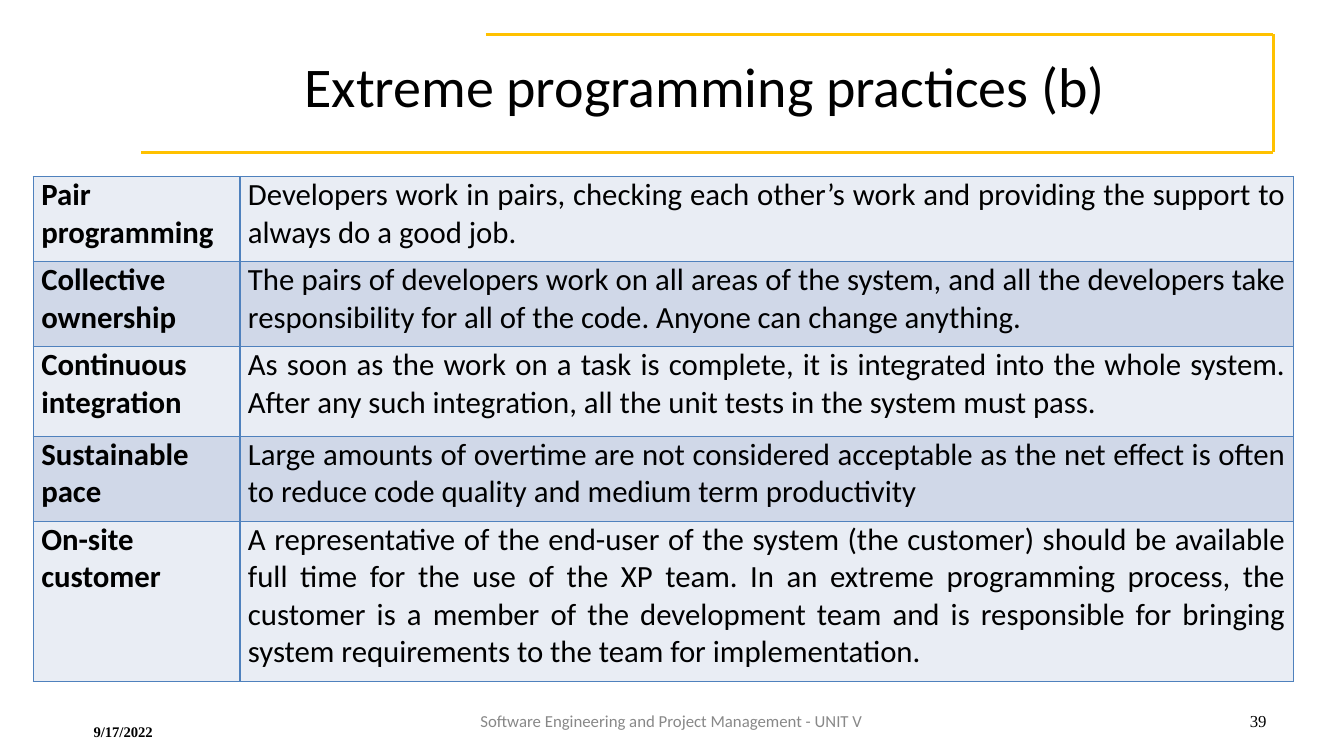
from lxml.etree import SubElement
from pptx import Presentation
from pptx.dml.color import RGBColor
from pptx.enum.shapes import MSO_CONNECTOR
from pptx.enum.text import MSO_ANCHOR as ANCHOR, PP_ALIGN as ALIGN
from pptx.oxml.ns import qn
from pptx.util import Inches, Pt

COLORS = {
    "frame": "FFC100",
    "border": "4F81BD",
    "light row": "E9EDF4",
    "dark row": "D0D8E8",
    "text": "000000",
    "footer": "888888",
}


def color(name):
    return RGBColor.from_string(COLORS[name])


def write(frame, text, size, align, font="Calibri", ink="text", bold=False):
    """Fill a text frame with one formatted paragraph."""
    frame.word_wrap = True
    paragraph = frame.paragraphs[0]
    paragraph.text = text
    paragraph.alignment = align
    paragraph.font.size = Pt(size)
    paragraph.font.name = font
    paragraph.font.bold = bold
    paragraph.font.color.rgb = color(ink)


prs = Presentation()
prs.slide_width, prs.slide_height = Inches(13.33), Inches(7.5)
slide = prs.slides.add_slide(prs.slide_layouts[5])

# Open frame around the title
corners = [(4.82, 0.34), (12.63, 0.34), (12.63, 1.51), (1.4, 1.51)]
for start, end in zip(corners, corners[1:]):
    edge = slide.shapes.add_connector(
        MSO_CONNECTOR.STRAIGHT, *map(Inches, start + end))
    edge.line.color.rgb = color("frame")
    edge.line.width = Pt(2)
    SubElement(edge._element.spPr, qn("a:effectLst"))

title = slide.shapes.title
title.left, title.top = Inches(1.78), Inches(0.31)
title.width, title.height = Inches(10.42), Inches(1.06)
title.text_frame.vertical_anchor = ANCHOR.MIDDLE
write(title.text_frame, "Extreme programming practices (b)", 40, ALIGN.CENTER)

# Practice, description, row height
practices = [
    ("Pair programming",
     "Developers work in pairs, checking each other’s work and providing the "
     "support to always do a good job.", 0.84),
    ("Collective ownership",
     "The pairs of developers work on all areas of the system, and all the "
     "developers take responsibility for all of the code. Anyone can change "
     "anything.", 0.84),
    ("Continuous integration",
     "As soon as the work on a task is complete, it is integrated into the "
     "whole system. After any such integration, all the unit tests in the "
     "system must pass.", 0.89),
    ("Sustainable pace",
     "Large amounts of overtime are not considered acceptable as the net "
     "effect is often to reduce code quality and medium term productivity",
     0.84),
    ("On-site customer",
     "A representative of the end-user of the system (the customer) should be "
     "available full time for the use of the XP team. In an extreme "
     "programming process, the customer is a member of the development team "
     "and is responsible for bringing system requirements to the team for "
     "implementation.", 1.59),
]
widths = [2.05, 10.45]
table = slide.shapes.add_table(
    len(practices), len(widths), Inches(0.33), Inches(1.75),
    Inches(sum(widths)), Inches(sum(row[2] for row in practices))).table
table.first_row = False
table.horz_banding = False
for column, width in zip(table.columns, widths):
    column.width = Inches(width)

for r, (practice, description, height) in enumerate(practices):
    table.rows[r].height = Inches(height)
    for c, text in enumerate((practice, description)):
        cell = table.cell(r, c)
        cell.margin_left = cell.margin_right = Inches(0.08)
        cell.margin_top, cell.margin_bottom = 0, Inches(0.1)
        write(cell.text_frame, text, 22, ALIGN.JUSTIFY, bold=c == 0)
        properties = cell._tc.get_or_add_tcPr()
        for side in ("lnL", "lnR", "lnT", "lnB"):
            border = SubElement(properties, qn(f"a:{side}"), w=str(Pt(1)))
            fill = SubElement(border, qn("a:solidFill"))
            SubElement(fill, qn("a:srgbClr"), val=COLORS["border"])
        cell.fill.solid()
        cell.fill.fore_color.rgb = color("dark row" if r % 2 else "light row")

# Date, footer and slide number: left, top, width, then text and format
footers = [
    (0.83, 7.06, 3, "9/17/2022", 10.5, ALIGN.LEFT,
     "Times New Roman", "text", True),
    (4.55, 6.95, 4.22, "Software Engineering and Project Management - UNIT V",
     12, ALIGN.CENTER, "Calibri", "footer", False),
    (9.55, 6.95, 3.11, "39", 12, ALIGN.RIGHT,
     "Times New Roman", "text", False),
]
for left, top, width, *content in footers:
    footer = slide.shapes.add_textbox(
        Inches(left), Inches(top), Inches(width), Inches(0.4)).text_frame
    footer.vertical_anchor = ANCHOR.MIDDLE
    write(footer, *content)

prs.save("out.pptx")
